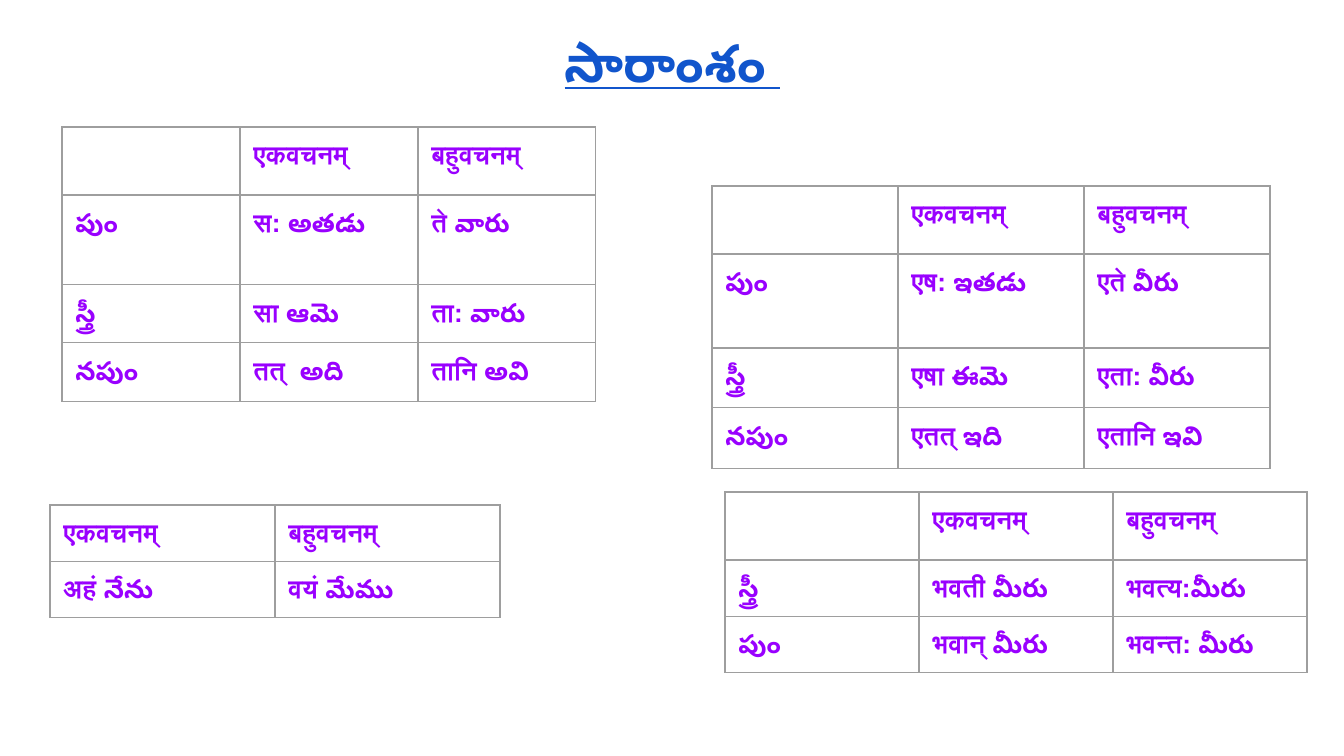
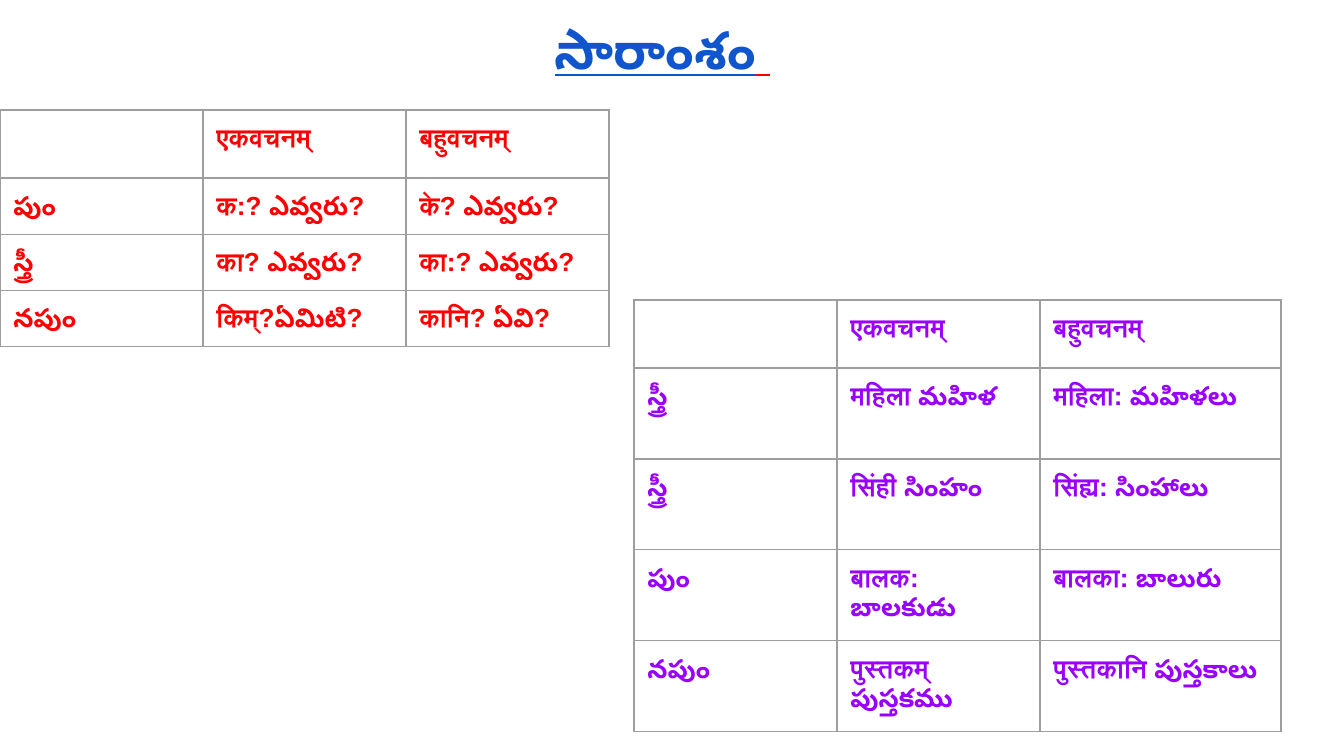
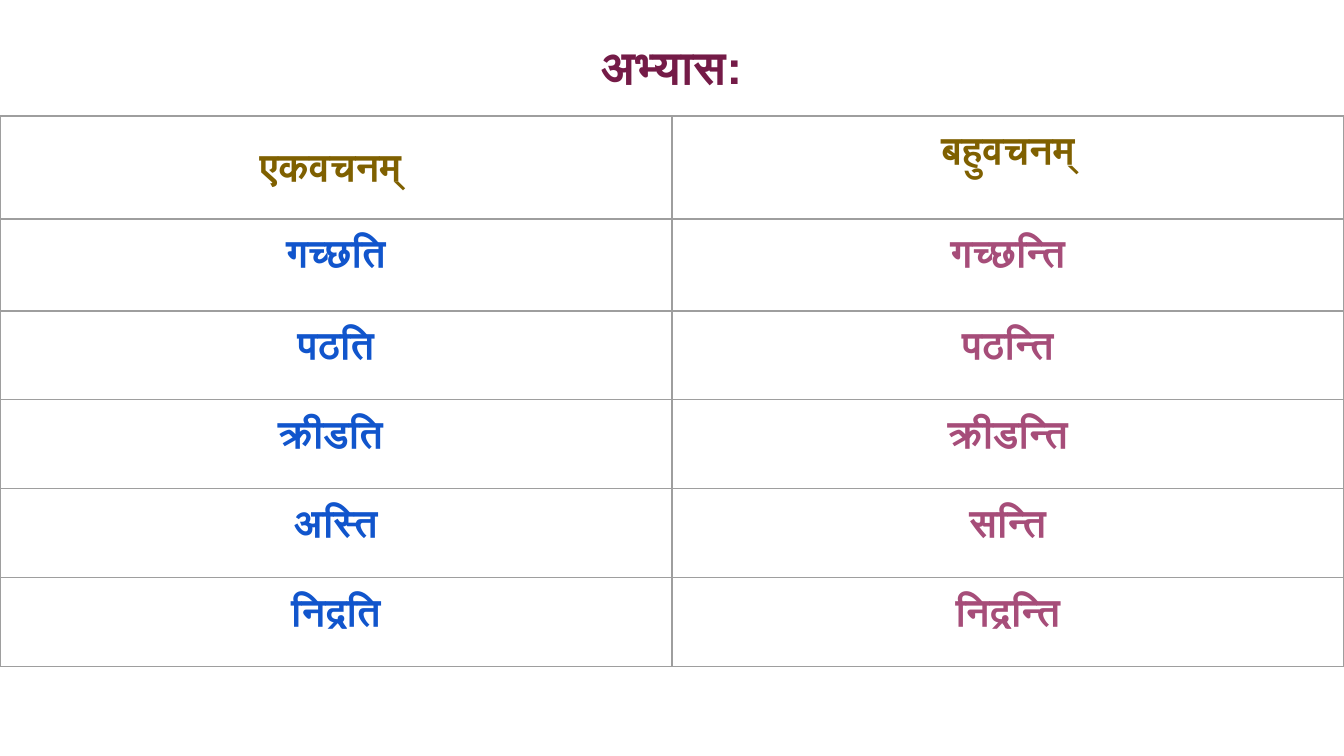
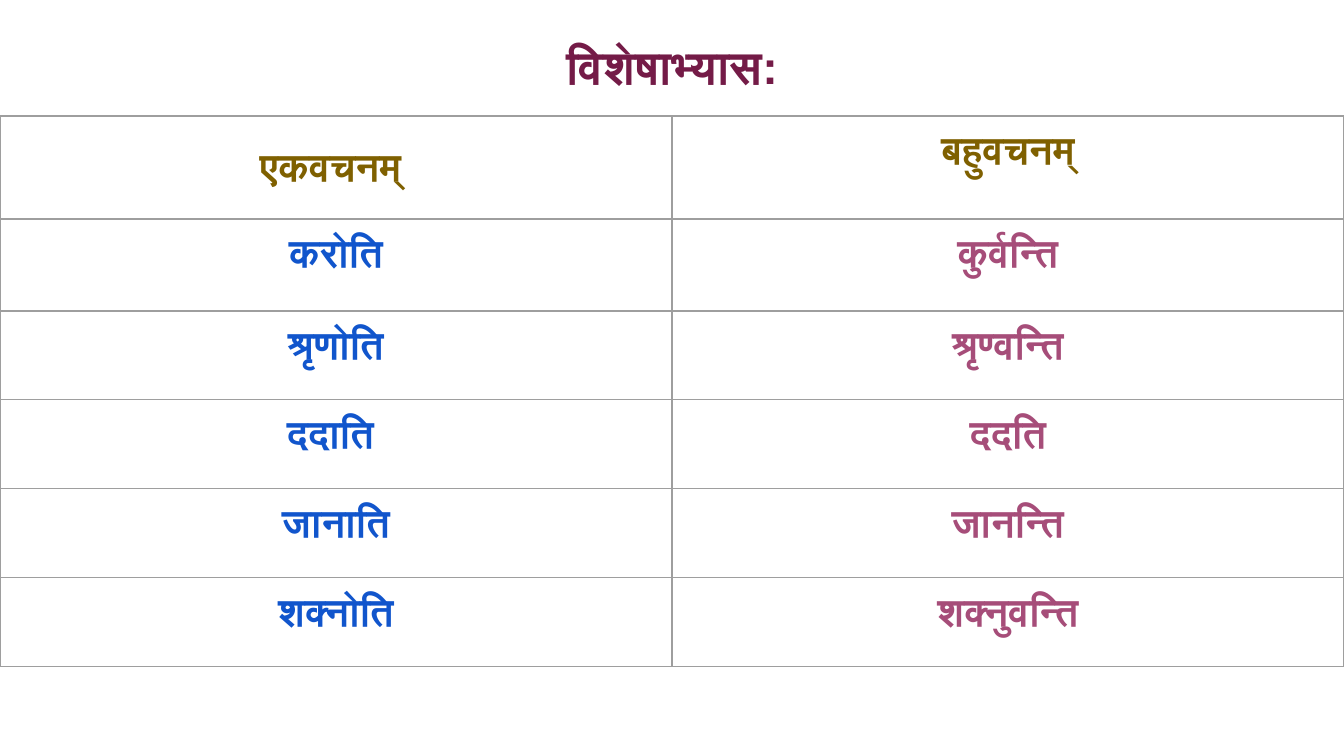
from lxml.etree import SubElement
from pptx import Presentation
from pptx.dml.color import RGBColor
from pptx.enum.text import MSO_ANCHOR as Anchor, MSO_AUTO_SIZE as AutoSize, PP_ALIGN as Align
from pptx.oxml.ns import qn
from pptx.util import Emu, Pt

# Scale: 1344 px across a 10 inch slide
PX = 9144000 / 1344
WIDTH, HEIGHT = 1344, 756

FONT = "Arial"
BLUE = RGBColor(0x11, 0x55, 0xCC)
PURPLE = RGBColor(0x99, 0x00, 0xFF)
RED = RGBColor(0xFF, 0x00, 0x00)
BROWN = RGBColor(0x7F, 0x60, 0x00)
ROSE = RGBColor(0xA6, 0x4D, 0x79)
WINE = RGBColor(0x74, 0x1B, 0x47)
GRID = RGBColor(0x9E, 0x9E, 0x9E)

# Words shared by the grammar tables
SINGULAR, PLURAL = "एकवचनम्", "बहुवचनम्"
NUMBERS = ["", SINGULAR, PLURAL]
MASCULINE, FEMININE, NEUTER = "పుం", "స్త్రీ", "నపుం"
SUMMARY = "సారాంశం"


def px(length):
    return Emu(round(length * PX))


class Deck:
    MARGIN = px(13.44)

    def __init__(self):
        self.file = Presentation()
        self.file.slide_width, self.file.slide_height = px(WIDTH), px(HEIGHT)
        self.slide = None

    def new_slide(self):
        self.slide = self.file.slides.add_slide(self.file.slide_layouts[5])

    def style(self, run, size, colour, underline=None):
        font = run.font
        font.name, font.size, font.bold = FONT, Pt(size), True
        font.underline = underline
        font.color.rgb = colour
        # Indic scripts take the complex-script font
        SubElement(run._r.get_or_add_rPr(), qn("a:cs"), typeface=FONT)

    def title(self, x, y, w, h, parts, size, underline=None):
        heading = self.slide.shapes.title
        heading.left, heading.top, heading.width, heading.height = map(px, (x, y, w, h))
        frame = heading.text_frame
        frame.word_wrap, frame.auto_size = True, AutoSize.NONE
        frame.vertical_anchor = Anchor.MIDDLE
        frame.margin_left = frame.margin_right = self.MARGIN
        frame.margin_top = frame.margin_bottom = self.MARGIN
        line = frame.paragraphs[0]
        line.alignment = Align.CENTER
        for text, colour in parts:
            run = line.add_run()
            run.text = text
            self.style(run, size, colour, underline)

    def border(self, cell):
        props = cell._tc.get_or_add_tcPr()
        for side in ("a:lnL", "a:lnR", "a:lnT", "a:lnB"):
            edge = SubElement(props, qn(side), w=str(Pt(0.75)))
            fill = SubElement(edge, qn("a:solidFill"))
            SubElement(fill, qn("a:srgbClr"), val=str(GRID))
        cell.fill.background()

    def table(self, x, y, widths, heights, words, ink, size=14, align=Align.LEFT):
        """Draw a grid of words; ink(row, column) gives the text colour."""
        grid = self.slide.shapes.add_table(
            len(heights), len(widths), px(x), px(y), px(sum(widths)), px(sum(heights))).table
        grid.first_row = grid.horz_banding = False
        for column, width in zip(grid.columns, widths):
            column.width = px(width)
        for row, height in zip(grid.rows, heights):
            row.height = px(height)
        for r, line in enumerate(words):
            for c, word in enumerate(line):
                cell = grid.cell(r, c)
                cell.margin_left = cell.margin_right = self.MARGIN
                cell.margin_top = cell.margin_bottom = self.MARGIN
                self.border(cell)
                if word:
                    cell.text_frame.text = word
                    paragraph = cell.text_frame.paragraphs[0]
                    paragraph.alignment = align
                    self.style(paragraph.runs[0], size, ink(r, c))
        return grid


def purple(row, column):
    return PURPLE


def red(row, column):
    return RED


def verb_ink(row, column):
    return BROWN if row == 0 else (BLUE, ROSE)[column]


def pronouns(deck):
    deck.new_slide()
    deck.title(276, 13, 793, 97, [(SUMMARY + " ", BLUE)], 28, True)
    # That: far pronouns
    deck.table(62, 127, [178] * 3, [59, 90, 58, 59], [
        NUMBERS,
        [MASCULINE, "स: అతడు", "ते వారు"],
        [FEMININE, "सा ఆమె", "ता: వారు"],
        [NEUTER, "तत्  అది", "तानि అవి"],
    ], purple)
    # This: near pronouns
    deck.table(712, 186, [186] * 3, [60, 94, 60, 61], [
        NUMBERS,
        [MASCULINE, "एष: ఇతడు", "एते వీరు"],
        [FEMININE, "एषा ఈమె", "एता: వీరు"],
        [NEUTER, "एतत् ఇది", "एतानि ఇవి"],
    ], purple)
    # First person
    deck.table(50, 505, [225] * 2, [48] * 2, [
        [SINGULAR, PLURAL],
        ["अहं నేను", "वयं మేము"],
    ], purple)
    # Polite second person
    deck.table(725, 492, [194] * 3, [34] * 3, [
        NUMBERS,
        [FEMININE, "भवती మీరు", "भवत्य:మీరు"],
        [MASCULINE, "भवान् మీరు", "भवन्त: మీరు"],
    ], purple)


def questions_and_nouns(deck):
    deck.new_slide()
    deck.title(266, 0, 793, 97, [(SUMMARY, BLUE), (" ", RED)], 28, True)
    # Question words
    deck.table(0, 110, [203] * 3, [47] + [56] * 3, [
        NUMBERS,
        [MASCULINE, "क:? ఎవ్వరు?", "के? ఎవ్వరు?"],
        [FEMININE, "का? ఎవ్వరు?", "का:? ఎవ్వరు?"],
        [NEUTER, "किम्?ఏమిటి?", "कानि? ఏవి?"],
    ], red)
    # Nouns
    deck.table(634, 300, [203, 203, 241], [48] + [91] * 4, [
        NUMBERS,
        [FEMININE, "महिला మహిళ", "महिला: మహిళలు"],
        [FEMININE, "सिंही సింహం", "सिंह्य: సింహాలు"],
        [MASCULINE, "बालक: బాలకుడు", "बालका: బాలురు"],
        [NEUTER, "पुस्तकम् పుస్తకము", "पुस्तकानि పుస్తకాలు"],
    ], purple)


def verbs(deck, name, pairs):
    deck.new_slide()
    deck.title(532, 24, 280, 83, [(name, WINE)], 25)
    grid = deck.table(0, 116, [WIDTH // 2] * 2, [103, 92] + [89] * 4,
                      [(SINGULAR + " ", PLURAL), *pairs], verb_ink, 21, Align.CENTER)
    grid.cell(0, 0).vertical_anchor = Anchor.MIDDLE


def main():
    deck = Deck()
    pronouns(deck)
    questions_and_nouns(deck)
    verbs(deck, "अभ्यास:", [
        ("गच्छति", "गच्छन्ति"),
        ("पठति", "पठन्ति"),
        ("क्रीडति ", "क्रीडन्ति"),
        ("अस्ति", "सन्ति"),
        ("निद्रति", "निद्रन्ति"),
    ])
    verbs(deck, "विशेषाभ्यास:", [
        ("करोति", "कुर्वन्ति"),
        ("श्रृणोति", "श्रृण्वन्ति"),
        ("ददाति ", "ददति"),
        ("जानाति", "जानन्ति"),
        ("शक्नोति", "शक्नुवन्ति"),
    ])
    deck.file.save("out.pptx")


if __name__ == "__main__":
    main()
